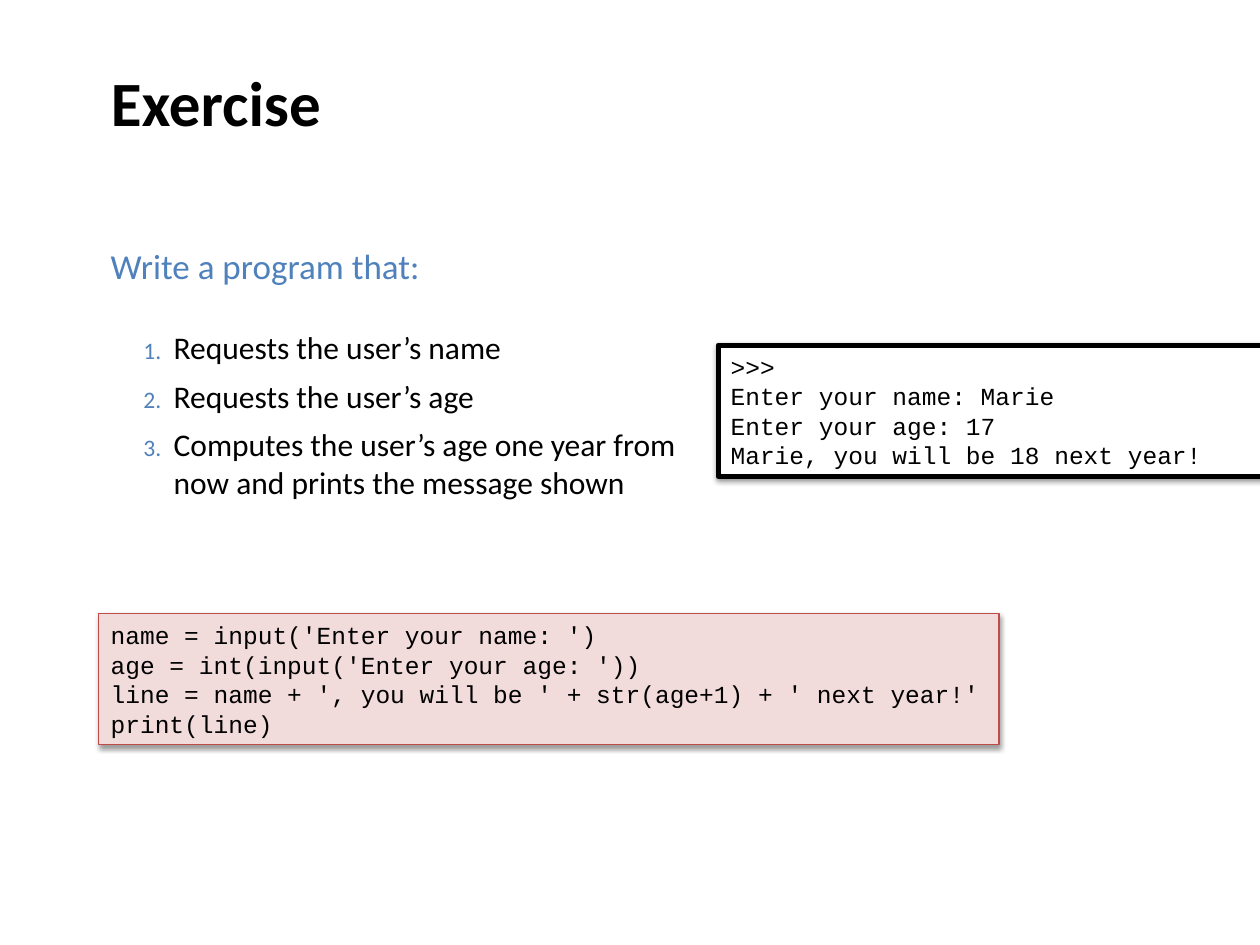
from lxml.etree import SubElement
from pptx import Presentation
from pptx.dml.color import RGBColor as RGB
from pptx.enum.shapes import MSO_SHAPE as Shape
from pptx.enum.text import MSO_ANCHOR as Anchor, MSO_AUTO_SIZE as AutoSize, PP_ALIGN as Align
from pptx.oxml import parse_xml
from pptx.oxml.ns import nsdecls, qn
from pptx.util import Inches, Pt

TITLE = "Exercise"
PROMPT = "Write a program that:"
STEPS = [
    "Requests the user’s name",
    "Requests the user’s age",
    "Computes the user’s age one year from now and prints the message shown",
]
LISTINGS = [
    {
        "lines": [
            "name = input('Enter your name: ')",
            "age = int(input('Enter your age: '))",
            "line = name + ', you will be ' + str(age+1) + ' next year!'",
            "print(line)",
        ],
        "box": (0.78, 4.87, 7.15, 1.04), "look": "program", "wrap": False,
    },
    {
        "lines": [
            ">>>",
            "Enter your name: Marie",
            "Enter your age: 17",
            "Marie, you will be 18 next year!",
        ],
        "box": (5.7, 2.74, 4.32, 1.04), "look": "console", "wrap": True,
    },
]
TITLE_BOX = (0.78, 0, 8.5, 1.61)
TASK_BOX = (0.78, 1.88, 4.69, 2.15)

THEME = {
    "title": {"name": "Calibri", "size": Pt(36), "bold": True, "color": "000000"},
    "prompt": {"name": "Calibri", "size": Pt(20), "color": "4F81BD"},
    "step": {"name": "Calibri", "size": Pt(18), "color": "000000"},
    "code": {"name": "Courier New", "size": Pt(14), "color": "000000"},
    "program": {"fill": "F2DCDB", "line": "BF4C48", "width": Pt(0.75)},
    "console": {"fill": "FFFFFF", "line": "000000", "width": Pt(3)},
    "number": "4F81BD",
}
SHADOW = (
    f'<a:effectLst {nsdecls("a")}><a:outerShdw blurRad="{Pt(3.1)}" dist="{Pt(1.6)}" '
    'dir="5400000" rotWithShape="0"><a:srgbClr val="000000"><a:alpha val="38000"/>'
    "</a:srgbClr></a:outerShdw></a:effectLst>"
)


def inches(box):
    return [Inches(length) for length in box]


def set_all(target, values):
    for key, value in values.items():
        setattr(target, key, value)


def write(frame, entries, **settings):
    set_all(frame, {"vertical_anchor": Anchor.MIDDLE, "word_wrap": True,
                    "auto_size": AutoSize.NONE, **settings})
    for index, (words, style) in enumerate(entries):
        paragraph = frame.paragraphs[0] if index == 0 else frame.add_paragraph()
        paragraph.alignment = Align.LEFT
        run = paragraph.add_run()
        run.text = words
        values = dict(THEME[style])
        run.font.color.rgb = RGB.from_string(values.pop("color"))
        set_all(run.font, values)


def number(paragraph):
    properties = paragraph._p.get_or_add_pPr()
    properties.set("marL", str(Inches(0.5)))
    properties.set("indent", str(Inches(-0.24)))
    color = SubElement(properties, qn("a:buClr"))
    SubElement(color, qn("a:srgbClr"), val=THEME["number"])
    SubElement(properties, qn("a:buSzPct"), val="75000")
    SubElement(properties, qn("a:buAutoNum"), type="arabicPeriod")


deck = Presentation()
deck.slide_width, deck.slide_height = Inches(10), Inches(7.5)
slide = deck.slides.add_slide(deck.slide_layouts[5])

title = slide.shapes.title
set_all(title, dict(zip(("left", "top", "width", "height"), inches(TITLE_BOX))))
write(title.text_frame, [(TITLE, "title")])

task = slide.shapes.add_textbox(*inches(TASK_BOX)).text_frame
write(task, [(PROMPT, "prompt")] + [(step, "step") for step in STEPS])
prompt, *steps = task.paragraphs
prompt.space_after = Pt(24)
for step in steps:
    step.space_after = Pt(6)
    number(step)

for listing in LISTINGS:
    panel = slide.shapes.add_shape(Shape.RECTANGLE, *inches(listing["box"]))
    look = THEME[listing["look"]]
    panel.fill.solid()
    panel.fill.fore_color.rgb = RGB.from_string(look["fill"])
    panel.line.color.rgb = RGB.from_string(look["line"])
    panel.line.width = look["width"]
    panel._element.spPr.append(parse_xml(SHADOW))
    write(panel.text_frame, [(line, "code") for line in listing["lines"]],
          word_wrap=listing["wrap"], auto_size=AutoSize.SHAPE_TO_FIT_TEXT)

deck.save("out.pptx")
